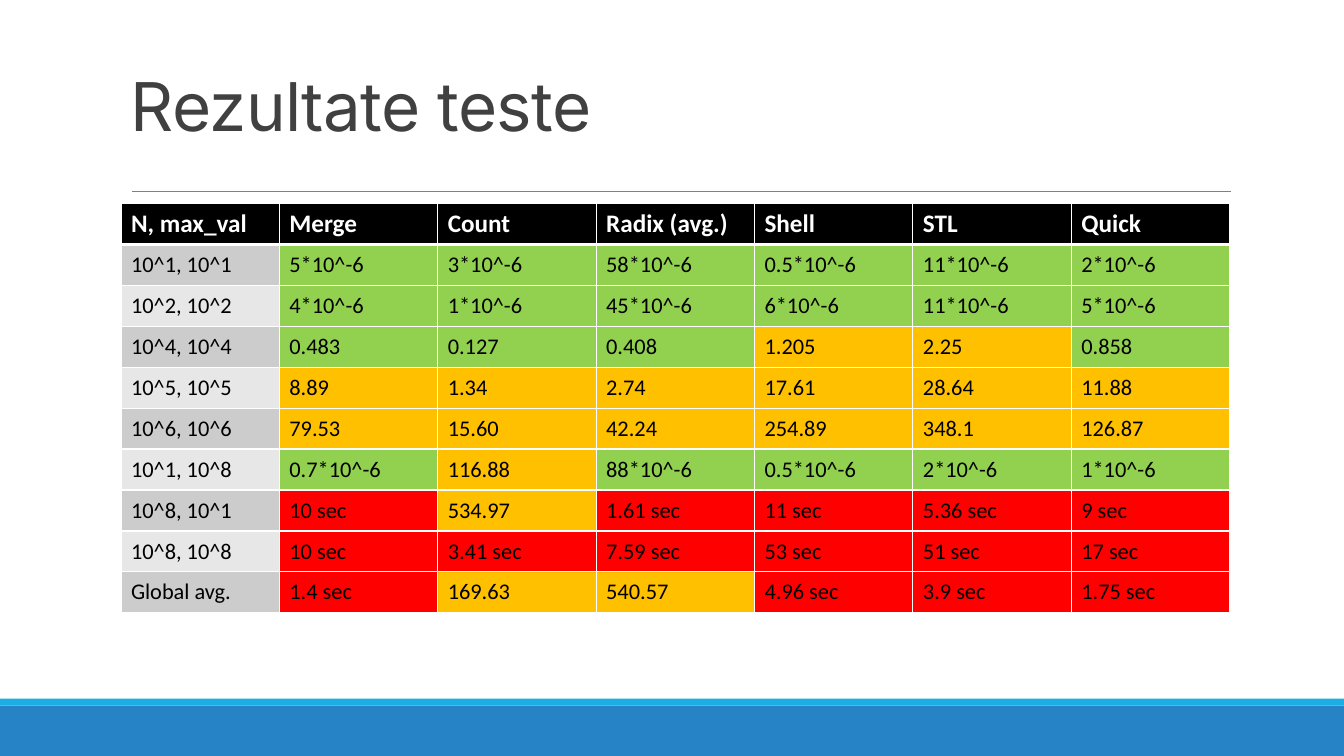
"""Build the slide with the table of sorting test results."""
from dataclasses import dataclass

from lxml import etree
from pptx import Presentation
from pptx.dml.color import RGBColor
from pptx.enum.shapes import MSO_CONNECTOR, MSO_SHAPE
from pptx.enum.text import MSO_ANCHOR
from pptx.oxml.ns import qn
from pptx.util import Inches, Length, Pt

RECT = MSO_SHAPE.RECTANGLE
LINE = MSO_CONNECTOR.STRAIGHT
MID = MSO_ANCHOR.MIDDLE
WIDE, HIGH = Inches(13.33), Inches(7.5)
HUES = {
    "white": "FFFFFF", "black": "000000", "title": "404040", "rule": "808080",
    "blue": "2683C6", "cyan": "1CADE4", "odd": "CCCCCC", "even": "E7E7E7",
    "fast": "92D050", "fair": "FFC000", "slow": "FF0000",
}
ROWS = [
    ["N, max_val", "Merge", "Count", "Radix (avg.)", "Shell", "STL", "Quick"],
    ["10^1, 10^1", "5*10^-6", "3*10^-6", "58*10^-6", "0.5*10^-6", "11*10^-6", "2*10^-6"],
    ["10^2, 10^2", "4*10^-6", "1*10^-6", "45*10^-6", "6*10^-6", "11*10^-6", "5*10^-6"],
    ["10^4, 10^4", "0.483", "0.127", "0.408", "1.205", "2.25", "0.858"],
    ["10^5, 10^5", "8.89", "1.34", "2.74", "17.61", "28.64", "11.88"],
    ["10^6, 10^6", "79.53", "15.60", "42.24", "254.89", "348.1", "126.87"],
    ["10^1, 10^8", "0.7*10^-6", "116.88", "88*10^-6", "0.5*10^-6", "2*10^-6", "1*10^-6"],
    ["10^8, 10^1", "10 sec", "534.97", "1.61 sec", "11 sec", "5.36 sec", "9 sec"],
    ["10^8, 10^8", "10 sec", "3.41 sec", "7.59 sec", "53 sec", "51 sec", "17 sec"],
    ["Global avg.", "1.4 sec", "169.63", "540.57", "4.96 sec", "3.9 sec", "1.75 sec"],
]


@dataclass(frozen=True)
class Box:
    """Place on the slide, in percent of its width and height."""

    left: float
    top: float
    width: float
    height: float

    def frame(self) -> tuple[Length, Length, Length, Length]:
        """Return the place as lengths."""
        return (across(self.left), down(self.top),
                across(self.width), down(self.height))


@dataclass(frozen=True)
class Band:
    """Coloured strip at the foot of the slide."""

    box: Box
    hue: str


@dataclass(frozen=True)
class Face:
    """Look of a run of text."""

    font: str
    size: int
    hue: str
    bold: bool = False


BANDS = [
    Band(Box(0, 93.33, 100, 6.67), "blue"),
    Band(Box(0, 92.4, 100, 0.93), "cyan"),
]
TITLE = Box(9, 4.13, 82.5, 21.2)
RULE = Box(9.83, 25.33, 81.77, 0)
GRID = Box(9, 26.93, 82.5, 54.13)
HEAD = Face("Calibri", 18, "white", True)
BODY = Face("Calibri", 16, "black")


def across(share: float) -> Length:
    """Turn a percentage of the slide width into a length."""
    return Length(round(WIDE * share / 100))


def down(share: float) -> Length:
    """Turn a percentage of the slide height into a length."""
    return Length(round(HIGH * share / 100))


def tint(name: str) -> RGBColor:
    """Look up a named colour."""
    return RGBColor.from_string(HUES[name])


def write(para, text: str, face: Face):
    """Add one run to a paragraph and return it."""
    run = para.add_run()
    run.text = text
    run.font.name, run.font.size = face.font, Pt(face.size)
    run.font.bold = face.bold
    run.font.color.rgb = tint(face.hue)
    return run


def draw_band(slide, band: Band) -> None:
    """Draw a plain strip."""
    shape = slide.shapes.add_shape(RECT, *band.box.frame())
    shape.shadow.inherit = False
    shape.fill.solid()
    shape.fill.fore_color.rgb = tint(band.hue)
    shape.line.fill.background()


def draw_rule(slide, box: Box) -> None:
    """Draw the thin line under the title."""
    left, top, width, height = box.frame()
    rule = slide.shapes.add_connector(LINE, left, top, left + width, top + height)
    rule.line.color.rgb = tint("rule")
    rule.line.width = Pt(0.5)
    etree.SubElement(rule._element.spPr, qn("a:effectLst"))


def draw_title(slide, text: str) -> None:
    """Write the slide title."""
    frame = slide.shapes.add_textbox(*TITLE.frame()).text_frame
    frame.word_wrap = True
    frame.vertical_anchor = MID
    para = frame.paragraphs[0]
    para.line_spacing = 0.85
    run = write(para, text, Face("Inter", 48, "title"))
    run._r.get_or_add_rPr().set("spc", "-50")


def grade(text: str, row: int, col: int) -> str:
    """Pick the fill of a cell from its place and its time."""
    if row == 0:
        return "black"
    if col == 0:
        return "odd" if row % 2 else "even"
    if text.endswith("sec"):
        return "slow"
    return "fast" if "^" in text or float(text) < 1 else "fair"


def edge(cell, row: int) -> None:
    """Give a cell white borders, thick below the header."""
    heavy = {0: "lnB", 1: "lnT"}.get(row)
    for side in ("lnL", "lnR", "lnT", "lnB"):
        size = Pt(3 if side == heavy else 1)
        line = etree.SubElement(cell._tc.get_or_add_tcPr(), qn(f"a:{side}"), w=str(size))
        fill = etree.SubElement(line, qn("a:solidFill"))
        etree.SubElement(fill, qn("a:srgbClr"), val=HUES["white"])


def draw_grid(slide) -> None:
    """Draw the table of results."""
    table = slide.shapes.add_table(len(ROWS), len(ROWS[0]), *GRID.frame()).table
    table.horz_banding = False
    table.first_row = False
    for row, texts in enumerate(ROWS):
        for col, text in enumerate(texts):
            cell = table.cell(row, col)
            edge(cell, row)
            cell.fill.solid()
            cell.fill.fore_color.rgb = tint(grade(text, row, col))
            cell.vertical_anchor = MID
            write(cell.text_frame.paragraphs[0], text, BODY if row else HEAD)


def main() -> None:
    """Build and save the deck."""
    deck = Presentation()
    deck.slide_width, deck.slide_height = WIDE, HIGH
    slide = deck.slides.add_slide(deck.slide_layouts[6])
    for band in BANDS:
        draw_band(slide, band)
    draw_rule(slide, RULE)
    draw_title(slide, "Rezultate teste")
    draw_grid(slide)
    deck.save("out.pptx")


main()
